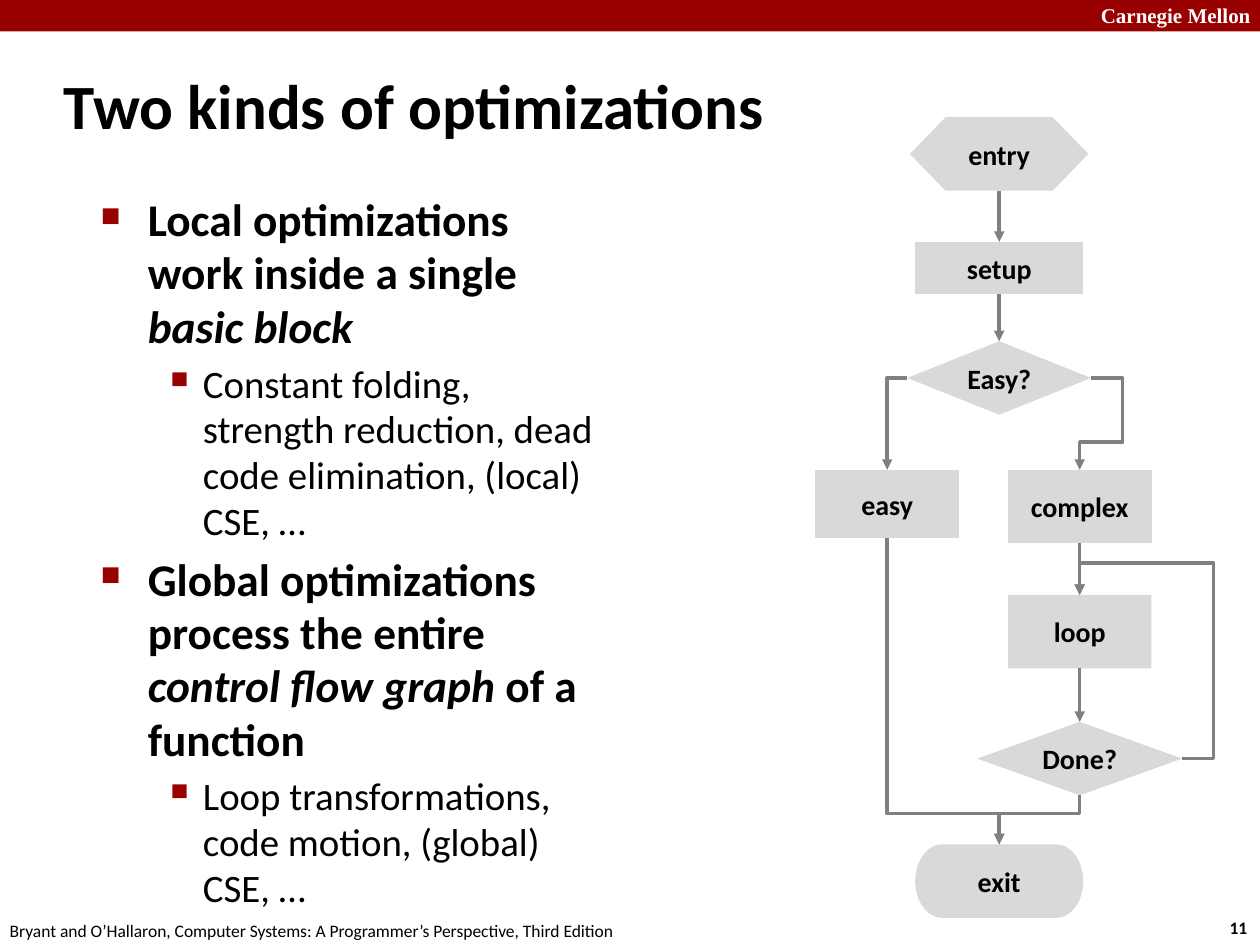
"""Build the slide on local and global optimizations with its control flow graph."""
from lxml import etree
from pptx import Presentation
from pptx.dml.color import RGBColor
from pptx.enum.shapes import MSO_CONNECTOR, MSO_SHAPE
from pptx.enum.text import MSO_ANCHOR, PP_ALIGN
from pptx.oxml.ns import qn
from pptx.util import Pt

RED = RGBColor(0x99, 0x00, 0x00)
WHITE = RGBColor(0xFF, 0xFF, 0xFF)
BLACK = RGBColor(0x00, 0x00, 0x00)
LIGHT_GRAY = RGBColor(0xD9, 0xD9, 0xD9)
GRAY = RGBColor(0x80, 0x80, 0x80)

RECTANGLE = MSO_SHAPE.RECTANGLE
PROCESS = MSO_SHAPE.FLOWCHART_PROCESS
DECISION = MSO_SHAPE.FLOWCHART_DECISION
PREPARATION = MSO_SHAPE.FLOWCHART_PREPARATION
TERMINATOR = MSO_SHAPE.FLOWCHART_TERMINATOR
STRAIGHT, ELBOW = MSO_CONNECTOR.STRAIGHT, MSO_CONNECTOR.ELBOW
TOP_ANCHOR, MIDDLE_ANCHOR = MSO_ANCHOR.TOP, MSO_ANCHOR.MIDDLE
LEFT_ALIGN, CENTER_ALIGN = PP_ALIGN.LEFT, PP_ALIGN.CENTER
TOP, LEFT, BOTTOM, RIGHT = range(4)

LABELS = [
    ("Carnegie Mellon", (622, -2, 103, 21.6), TOP_ANCHOR,
     {"size": 12, "name": "Times New Roman", "color": WHITE, "bold": True}),
    ("11", (695.5, 520.5, 27, 19.5), TOP_ANCHOR, {"size": 10, "bold": True}),
    ("Bryant and O’Hallaron, Computer Systems: A Programmer’s Perspective, Third Edition",
     (-1.5, 522, 366, 19.5), TOP_ANCHOR, {"size": 10}),
    ("Two kinds of optimizations", (29.5, 29.5, 598, 60), MIDDLE_ANCHOR,
     {"size": 36, "bold": True}),
]

BODY_AREA = (50.4, 107.3, 304.5, 391.7)
BODY = [
    (0, [("Local optimizations work inside a single ", False), ("basic block", True)]),
    (1, [("Constant folding, strength reduction, dead code elimination, (local) CSE, …", False)]),
    (0, [("Global optimizations process the entire ", False), ("control flow graph", True),
         (" of a function", False)]),
    (1, [("Loop transformations, code motion, (global) CSE, …", False)]),
]
LEVELS = [
    {"size": 25.9, "bold": True, "margin": 27, "hang": 27, "bullet": "■", "percent": 60},
    {"size": 22.2, "bold": False, "margin": 58.5, "hang": 22.5, "bullet": "▪", "percent": 110},
]

MAIN, EASY_SIDE, COMPLEX_SIDE = 571, 507, 617
NODES = {
    "entry": (PREPARATION, MAIN, 67, 102, 42),
    "setup": (PROCESS, MAIN, 138.25, 96, 30),
    "Easy?": (DECISION, MAIN, 195, 105, 42),
    "easy": (PROCESS, EASY_SIDE, 268.5, 82, 39),
    "complex": (PROCESS, COMPLEX_SIDE, 268.5, 82, 42),
    "loop": (RECTANGLE, COMPLEX_SIDE, 340, 82, 42),
    "Done?": (DECISION, COMPLEX_SIDE, 412.5, 117, 42),
    "exit": (TERMINATOR, MAIN, 482.5, 96, 42),
}
STRAIGHT_EDGES = [("entry", "setup"), ("setup", "Easy?"), ("complex", "loop"), ("loop", "Done?")]
MERGE_Y = 465
BENT_EDGES = [
    ("Easy?", LEFT, "easy", None, None),
    ("Easy?", RIGHT, "complex", 641.5, 252.75),
    ("Done?", RIGHT, "loop", 693.5, 321.75),
    ("easy", BOTTOM, "exit", None, MERGE_Y),
    ("Done?", BOTTOM, "exit", None, MERGE_Y),
]


def points(values):
    return [Pt(value) for value in values]


def set_font(font, **values):
    style = {"name": "Calibri", "color": BLACK, "bold": False, **values}
    font.color.rgb = style.pop("color")
    style["size"] = Pt(style["size"])
    for name, value in style.items():
        setattr(font, name, value)


def add_text(page, area, anchor=TOP_ANCHOR):
    frame = page.shapes.add_textbox(*points(area)).text_frame
    frame.word_wrap = True
    frame.vertical_anchor = anchor
    return frame


def add_filled(page, kind, area, color):
    shape = page.shapes.add_shape(kind, *points(area))
    shape.shadow.inherit = False
    shape.fill.solid()
    shape.fill.fore_color.rgb = color
    shape.line.fill.background()
    return shape


def add_body(page):
    frame = add_text(page, BODY_AREA)
    for index, (level, spans) in enumerate(BODY):
        style = LEVELS[level]
        para = frame.add_paragraph() if index else frame.paragraphs[0]
        properties = para._p.get_or_add_pPr()
        properties.set("marL", str(Pt(style["margin"])))
        properties.set("indent", str(-Pt(style["hang"])))
        color = etree.SubElement(properties, qn("a:buClr"))
        etree.SubElement(color, qn("a:srgbClr"), val=str(RED))
        etree.SubElement(properties, qn("a:buSzPct"), val=str(style["percent"] * 1000))
        etree.SubElement(properties, qn("a:buChar"), char=style["bullet"])
        para.level = level
        para.line_spacing = 0.98
        if index:
            para.space_before = Pt(round(style["size"] * 0.2, 1))
        for text, italic in spans:
            span = para.add_run()
            span.text = text
            set_font(span.font, size=style["size"], bold=style["bold"], italic=italic)


def add_node(page, label, kind, center, top, width, height):
    shape = add_filled(page, kind, (center - width / 2, top, width, height), LIGHT_GRAY)
    frame = shape.text_frame
    frame.vertical_anchor = MIDDLE_ANCHOR
    frame.margin_left = frame.margin_right = 0
    para = frame.paragraphs[0]
    para.text = label
    para.alignment = CENTER_ALIGN
    set_font(para.runs[0].font, size=16, bold=True)
    return shape


def side_point(label, side):
    _, center, top, width, height = NODES[label]
    middle = top + height / 2
    return [(center, top), (center - width / 2, middle),
            (center, top + height), (center + width / 2, middle)][side]


def add_arrow(page, kind, start, end):
    arrow = page.shapes.add_connector(kind, *points(start + end))
    arrow.line.color.rgb = GRAY
    arrow.line.width = Pt(2)
    etree.SubElement(arrow.line._get_or_add_ln(), qn("a:tailEnd"), type="triangle")
    etree.SubElement(arrow._element.spPr, qn("a:effectLst"))
    return arrow


def add_bent_arrow(page, source, side, target, turn_x, turn_y):
    start, end = side_point(source, side), side_point(target, TOP)
    (left, top), (right, bottom) = start, end
    ratios = [(turn - first) / (last - first)
              for turn, first, last in ((turn_x, left, right), (turn_y, top, bottom))
              if turn is not None]
    rotation = 0
    if side == BOTTOM:
        sign = -1 if right < left else 1
        rotation = 180 + 90 * sign
        middle_x, middle_y = (left + right) / 2, (top + bottom) / 2
        half_width, half_height = sign * (bottom - top) / 2, abs(right - left) / 2
        start = (middle_x + half_width, middle_y - half_height)
        end = (middle_x - half_width, middle_y + half_height)
    arrow = add_arrow(page, ELBOW, start, end)
    properties = arrow._element.spPr
    if rotation:
        properties.find(qn("a:xfrm")).set("rot", str(rotation * 60000))
    geometry = properties.find(qn("a:prstGeom"))
    geometry.set("prst", f"bentConnector{2 + len(ratios)}")
    guides = geometry.find(qn("a:avLst"))
    for number, ratio in enumerate(ratios, 1):
        etree.SubElement(guides, qn("a:gd"), name=f"adj{number}",
                         fmla=f"val {round(ratio * 100000)}")


def main():
    deck = Presentation()
    deck.slide_width, deck.slide_height = points((720, 540))
    page = deck.slides.add_slide(deck.slide_layouts[6])
    add_filled(page, RECTANGLE, (0, 0, 720, 18), RED)
    for text, area, anchor, style in LABELS:
        para = add_text(page, area, anchor).paragraphs[0]
        para.text = text
        para.alignment = LEFT_ALIGN
        set_font(para.runs[0].font, **style)
    add_body(page)
    shapes = {label: add_node(page, label, *node) for label, node in NODES.items()}
    for source, target in STRAIGHT_EDGES:
        arrow = add_arrow(page, STRAIGHT, side_point(source, BOTTOM), side_point(target, TOP))
        arrow.begin_connect(shapes[source], BOTTOM)
        arrow.end_connect(shapes[target], TOP)
    for edge in BENT_EDGES:
        add_bent_arrow(page, *edge)
    deck.save("out.pptx")


if __name__ == "__main__":
    main()
